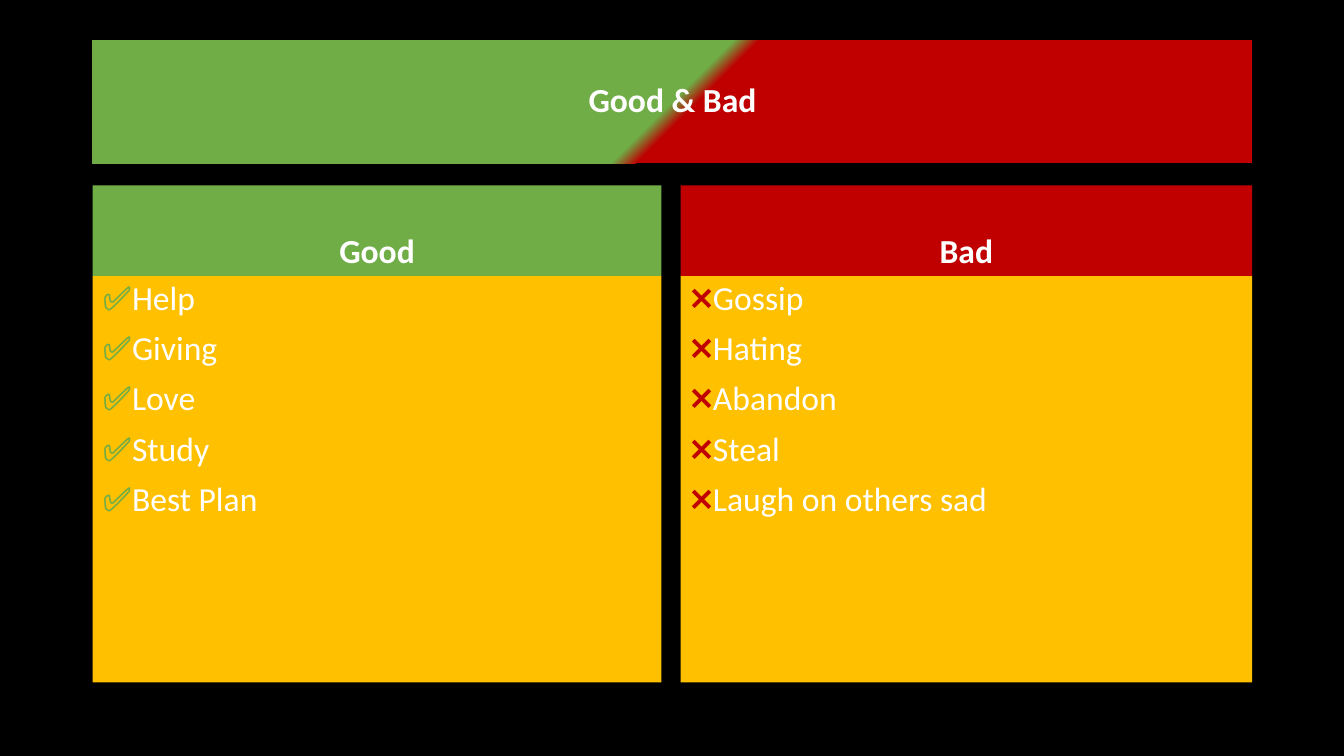
"""Build the Good & Bad comparison slide."""
from dataclasses import dataclass

import pptx
import pptx.dml.color
import pptx.enum.shapes
import pptx.enum.text
import pptx.shapes.autoshape
import pptx.slide
import pptx.text.text
import pptx.util
from pptx.dml.color import RGBColor
from pptx.enum.text import MSO_ANCHOR, PP_ALIGN
from pptx.util import Inches

BLACK = RGBColor(0x00, 0x00, 0x00)
WHITE = RGBColor(0xFF, 0xFF, 0xFF)
GREEN = RGBColor(0x70, 0xAD, 0x47)
RED = RGBColor(0xC0, 0x00, 0x00)
AMBER = RGBColor(0xFF, 0xC0, 0x00)

LEFT = 0.92
HEADING_TOP, HEADING_HEIGHT = 1.84, 0.9
LIST_TOP, LIST_HEIGHT = HEADING_TOP + HEADING_HEIGHT, 4.03


@dataclass(frozen=True)
class Column:
    heading: str
    left: float
    width: float
    color: RGBColor
    mark: str
    habits: tuple[str, ...]


COLUMNS = (
    Column("Good", LEFT, 5.64, GREEN, "✅",
           ("Help", "Giving", "Love", "Study", "Best Plan")),
    Column("Bad", 6.75, 5.67, RED, "❌",
           ("Gossip", "Hating", "Abandon", "Steal", "Laugh on others sad")),
)


def add_panel(slide: pptx.slide.Slide, left: float, top: float, width: float,
              height: float, anchor: MSO_ANCHOR) -> pptx.shapes.autoshape.Shape:
    panel = slide.shapes.add_shape(
        pptx.enum.shapes.MSO_SHAPE.RECTANGLE,
        Inches(left), Inches(top), Inches(width), Inches(height))
    panel.shadow.inherit = False
    panel.line.fill.background()
    panel.text_frame.word_wrap = True
    panel.text_frame.vertical_anchor = anchor
    return panel


def style_paragraph(paragraph: pptx.text.text._Paragraph, alignment: PP_ALIGN,
                    bold: bool = False) -> None:
    paragraph.alignment = alignment
    paragraph.line_spacing = 0.9
    paragraph.font.name = "Calibri"
    paragraph.font.size = pptx.util.Pt(24)
    paragraph.font.bold = bold
    paragraph.font.color.rgb = WHITE


def add_heading(panel: pptx.shapes.autoshape.Shape, text: str) -> None:
    paragraph = panel.text_frame.paragraphs[0]
    paragraph.text = text
    style_paragraph(paragraph, PP_ALIGN.CENTER, bold=True)


def add_title(slide: pptx.slide.Slide) -> None:
    title = add_panel(slide, LEFT, 0.4, 11.5, 1.22, MSO_ANCHOR.MIDDLE)
    title.fill.gradient()
    title.fill.gradient_angle = 135
    stops = ((0.48, RED), (0.5, GREEN))
    for stop, (position, color) in zip(title.fill.gradient_stops, stops):
        stop.position = position
        stop.color.rgb = color
    add_heading(title, "Good & Bad")


def add_column(slide: pptx.slide.Slide, column: Column) -> None:
    heading = add_panel(slide, column.left, HEADING_TOP, column.width,
                        HEADING_HEIGHT, MSO_ANCHOR.BOTTOM)
    heading.fill.solid()
    heading.fill.fore_color.rgb = column.color
    add_heading(heading, column.heading)

    habits = add_panel(slide, column.left, LIST_TOP, column.width,
                       LIST_HEIGHT, MSO_ANCHOR.TOP)
    habits.fill.solid()
    habits.fill.fore_color.rgb = AMBER
    frame = habits.text_frame
    for index, habit in enumerate(column.habits):
        paragraph = frame.add_paragraph() if index else frame.paragraphs[0]
        style_paragraph(paragraph, PP_ALIGN.LEFT)
        if index:
            paragraph.space_before = pptx.util.Pt(10)
        for text, color in ((column.mark, column.color), (habit, WHITE)):
            run = paragraph.add_run()
            run.text = text
            run.font.name = "Calibri"
            run.font.size = pptx.util.Pt(24)
            run.font.color.rgb = color


def main() -> None:
    presentation = pptx.Presentation()
    presentation.slide_width = Inches(13.33)
    presentation.slide_height = Inches(7.5)
    slide = presentation.slides.add_slide(presentation.slide_layouts[6])
    slide.background.fill.solid()
    slide.background.fill.fore_color.rgb = BLACK
    add_title(slide)
    for column in COLUMNS:
        add_column(slide, column)
    presentation.save("out.pptx")


if __name__ == "__main__":
    main()
